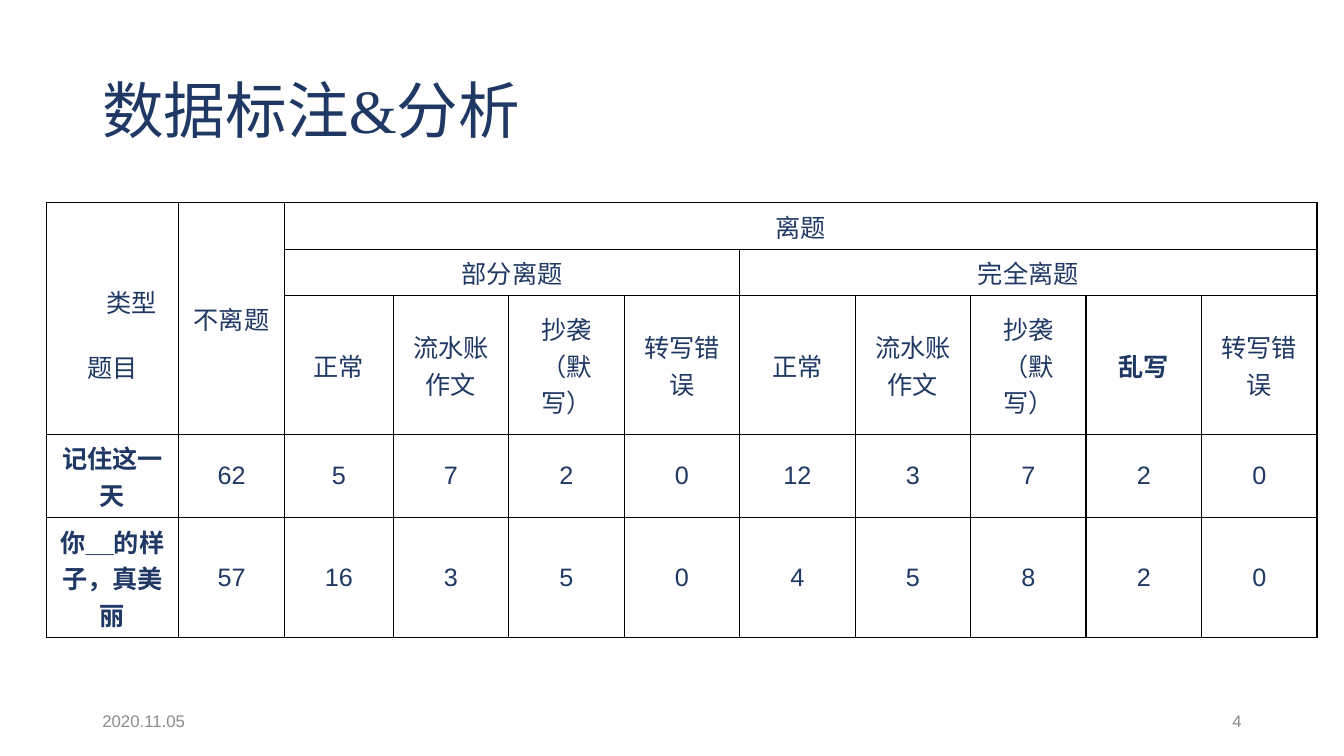
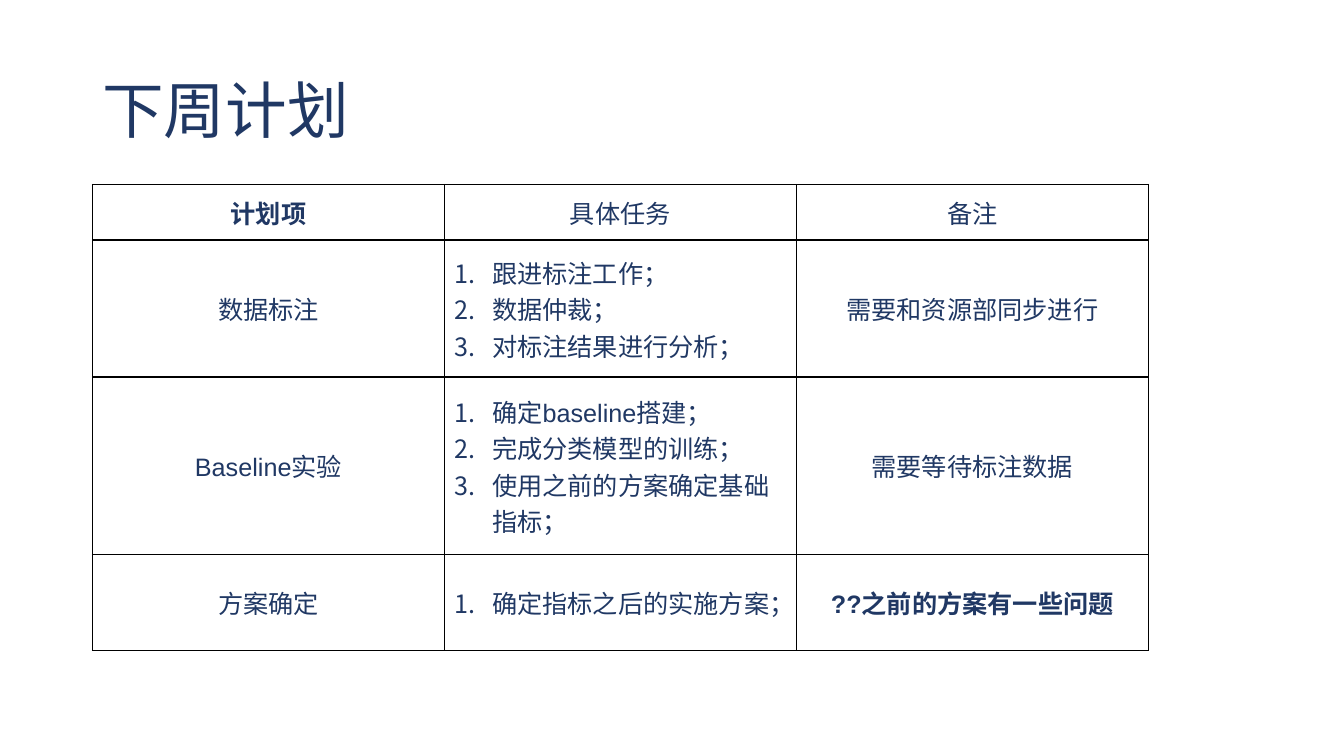
import pptx
import pptx.dml.color
import pptx.enum.text
import pptx.oxml
import pptx.oxml.ns
import pptx.util
from lxml import etree

Cm = pptx.util.Cm
Pt = pptx.util.Pt
ALIGN = pptx.enum.text.PP_ALIGN
MIDDLE = pptx.enum.text.MSO_ANCHOR.MIDDLE
qn = pptx.oxml.ns.qn

NAVY = pptx.dml.color.RGBColor(0x20, 0x38, 0x64)
GREY = pptx.dml.color.RGBColor(0x8C, 0x8C, 0x8C)
BLACK = pptx.dml.color.RGBColor(0, 0, 0)

TITLE_FONT = {"name": "Times New Roman", "size": Pt(44)}
CELL_FONT = {"name": "Arial", "size": Pt(18)}
FOOTER_FONT = {"name": "Arial", "size": Pt(12)}

TITLE_BOX = (Cm(2.33), Cm(1.02), Cm(29.2), Cm(3.68))
DATE_BOX = (Cm(2.33), Cm(17.65), Cm(7.62), Cm(1.02))
NUMBER_BOX = (Cm(23.92), Cm(17.65), Cm(7.62), Cm(1.02))

LIST_INDENT = Cm(0.95)


def write(para, text, font_format, color, align=ALIGN.LEFT, bold=False):
    para.alignment = align
    span = para.add_run()
    span.text = text
    for name, value in {**font_format, "bold": bold}.items():
        setattr(span.font, name, value)
    span.font.color.rgb = color


def add_text(page, box, text, font_format, color, align=ALIGN.LEFT, line_spacing=1.0):
    frame = page.shapes.add_textbox(*box).text_frame
    frame.word_wrap = True
    frame.vertical_anchor = MIDDLE
    para = frame.paragraphs[0]
    para.line_spacing = line_spacing
    write(para, text, font_format, color, align)


def add_page(deck, title):
    page = deck.slides.add_slide(deck.slide_layouts[6])
    add_text(page, TITLE_BOX, title, TITLE_FONT, NAVY, line_spacing=0.9)
    return page


def add_footer(page, date, number):
    add_text(page, DATE_BOX, date, FOOTER_FONT, GREY)
    add_text(page, NUMBER_BOX, number, FOOTER_FONT, GREY, ALIGN.RIGHT)


def number_para(para):
    """Give a paragraph an automatic number with a hanging indent."""
    props = para._p.get_or_add_pPr()
    props.set("marL", str(LIST_INDENT))
    props.set("indent", str(-LIST_INDENT))
    etree.SubElement(props, qn("a:buFont"), typeface="+mj-ea")
    etree.SubElement(props, qn("a:buAutoNum"), type="arabicPeriod")


def rule_cell(cell):
    """Draw thin black borders on all four sides and no fill."""
    props = cell._tc.get_or_add_tcPr()
    for side in ("lnL", "lnR", "lnT", "lnB"):
        line = etree.SubElement(props, qn(f"a:{side}"), w=str(Pt(1)))
        fill = etree.SubElement(line, qn("a:solidFill"))
        etree.SubElement(fill, qn("a:srgbClr"), val=str(BLACK))
    cell.fill.background()


def fill_cell(cell, content, bold):
    """Write a centred text, or a numbered list when content is a list."""
    cell.vertical_anchor = MIDDLE
    frame = cell.text_frame
    if isinstance(content, str):
        write(frame.paragraphs[0], content, CELL_FONT, NAVY, ALIGN.CENTER, bold)
        return
    for index, item in enumerate(content):
        para = frame.add_paragraph() if index else frame.paragraphs[0]
        number_para(para)
        write(para, item, CELL_FONT, NAVY, bold=bold)


def add_grid(page, left, top, widths, heights, rows, bold_cells, merges=()):
    """Add a ruled table; None leaves a cell empty, merges holds corner pairs."""
    table = page.shapes.add_table(
        len(heights), len(widths), left, top,
        Cm(sum(widths)), Cm(sum(heights))).table
    table.first_row = False
    table.horz_banding = False
    for column, width in zip(table.columns, widths):
        column.width = Cm(width)
    for row, height in zip(table.rows, heights):
        row.height = Cm(height)
    for r, row in enumerate(rows):
        for c, content in enumerate(row):
            cell = table.cell(r, c)
            rule_cell(cell)
            if content is not None:
                fill_cell(cell, content, (r, c) in bold_cells)
    for first, last in merges:
        table.cell(*first).merge(table.cell(*last))
    return table


def fill_corner(cell, column_label, row_label):
    """Label the columns upper right and the rows lower left."""
    cell.vertical_anchor = MIDDLE
    cell.margin_top = Cm(0.91)
    upper = cell.text_frame.paragraphs[0]
    upper._p.get_or_add_pPr().set("marL", str(LIST_INDENT))
    write(upper, column_label, CELL_FONT, NAVY, ALIGN.CENTER)
    lower = cell.text_frame.add_paragraph()
    lower.space_before = Pt(20)
    write(lower, row_label, CELL_FONT, NAVY, ALIGN.CENTER)


def add_annotation_page(deck):
    page = add_page(deck, "数据标注&分析")
    kinds = ["正常", "流水账作文", "抄袭（默写）"]
    error = "转写错误"
    rows = [
        [None, "不离题", "离题"] + [None] * 8,
        [None, None, "部分离题", None, None, None, "完全离题"] + [None] * 4,
        [None, None, *kinds, error, *kinds, "乱写", error],
        ["记住这一天", "62", "5", "7", "2", "0", "12", "3", "7", "2", "0"],
        ["你__的样子，真美丽", "57", "16", "3", "5", "0", "4", "5", "8", "2", "0"],
    ]
    merges = [((0, 0), (2, 0)), ((0, 1), (2, 1)), ((0, 2), (0, 10)),
              ((1, 2), (1, 5)), ((1, 6), (1, 10))]
    table = add_grid(page, Cm(1.17), Cm(5.11), [3.33, 2.67, 2.74] + [2.91] * 8,
                     [1.17, 1.17, 3.5, 2.1, 3.02], rows,
                     {(2, 9), (3, 0), (4, 0)}, merges)
    fill_corner(table.cell(0, 0), "类型", "题目")
    add_footer(page, "2020.11.05", "4")


def add_plan_page(deck):
    page = add_page(deck, "下周计划")
    rows = [
        ["计划项", "具体任务", "备注"],
        ["数据标注",
         ["跟进标注工作；", "数据仲裁；", "对标注结果进行分析；"],
         "需要和资源部同步进行"],
        ["Baseline实验",
         ["确定baseline搭建；", "完成分类模型的训练；", "使用之前的方案确定基础指标；"],
         "需要等待标注数据"],
        ["方案确定", ["确定指标之后的实施方案；"], "??之前的方案有一些问题"],
    ]
    add_grid(page, Cm(2.33), Cm(4.65), [8.87] * 3, [1.4, 3.45, 4.48, 2.41],
             rows, {(0, 0), (3, 2)})


def main():
    deck = pptx.Presentation()
    deck.slide_width = Cm(33.87)
    deck.slide_height = Cm(19.05)
    add_annotation_page(deck)
    add_plan_page(deck)
    deck.save("out.pptx")


if __name__ == "__main__":
    main()
